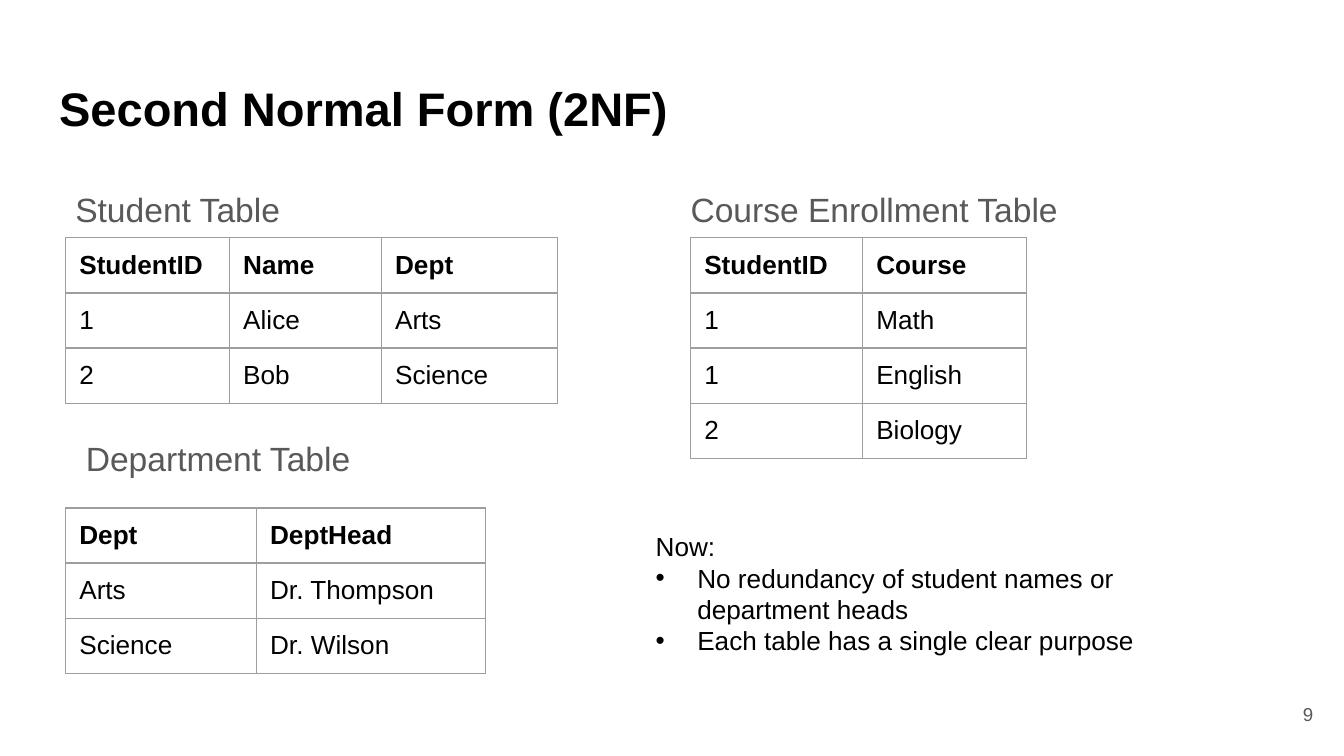
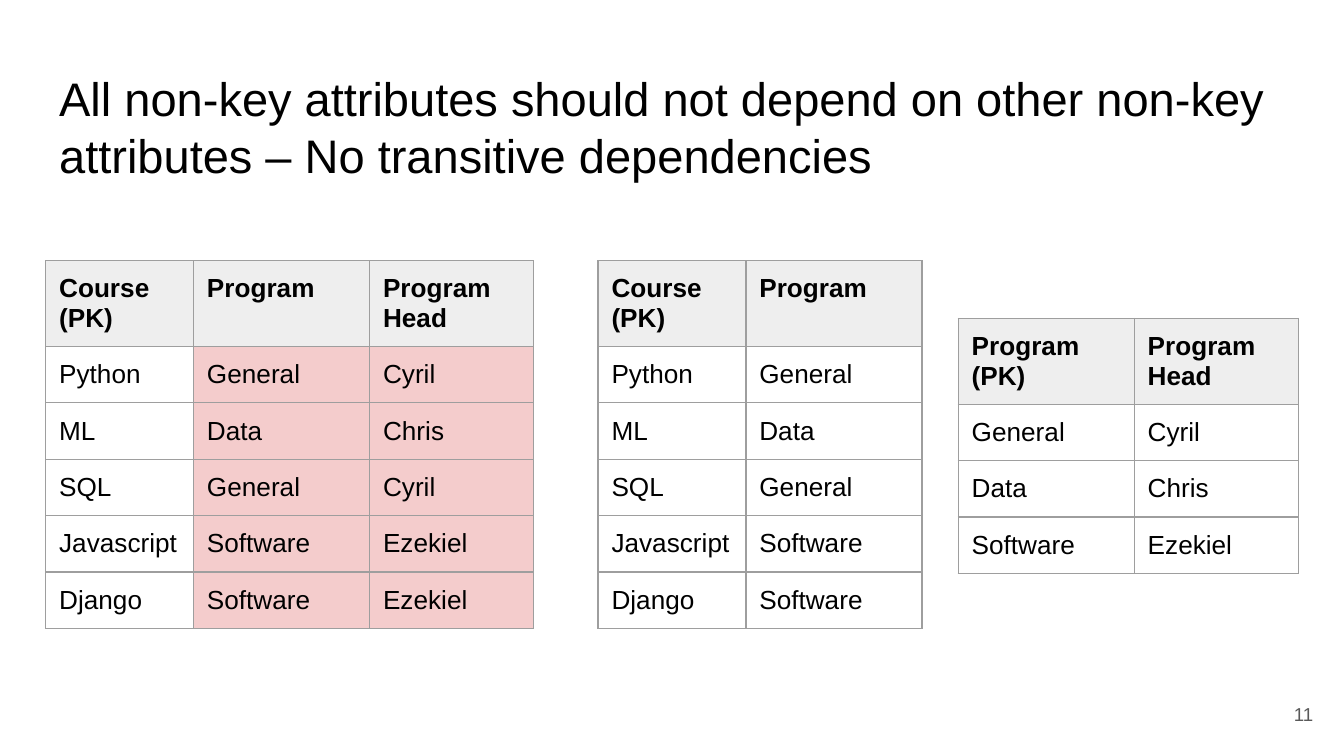
from dataclasses import dataclass

from lxml.etree import SubElement
from pptx import Presentation
from pptx.dml.color import RGBColor as Rgb
from pptx.enum.text import MSO_ANCHOR as Anchor, MSO_AUTO_SIZE as AutoSize, PP_ALIGN as Align
from pptx.oxml.ns import qn
from pptx.util import Inches, Pt


@dataclass(frozen=True)
class Theme:
    font: str = "Arial"
    ink: str = "000000"
    muted: str = "595959"
    paper: str = "FFFFFF"
    border: str = "9E9E9E"
    header: str = "EEEEEE"
    marked: str = "F4CCCC"
    title: float = 25.2
    heading: float = 18
    text: float = 14
    number: float = 10
    border_width: float = 0.75
    pad: float = 0.1


THEME = Theme()
TITLE_AND_BODY, TITLE_ONLY = 1, 5

# Contents
STUDENTS = [("StudentID", "Name", "Dept"), ("1", "Alice", "Arts"), ("2", "Bob", "Science")]
ENROLLMENTS = [("StudentID", "Course"), ("1", "Math"), ("1", "English"), ("2", "Biology")]
DEPARTMENTS = [("Dept", "DeptHead"), ("Arts", "Dr. Thompson"), ("Science", "Dr. Wilson")]
BENEFITS = ["No redundancy of student names or department heads",
            "Each table has a single clear purpose"]
COURSE_PROGRAMS = [("Python", "General"), ("ML", "Data"), ("SQL", "General"),
                   ("Javascript", "Software"), ("Django", "Software")]
PROGRAM_HEADS = {"General": "Cyril", "Data": "Chris", "Software": "Ezekiel"}


def add_run(paragraph, text, size, color=THEME.ink, bold=False):
    run = paragraph.add_run()
    run.text = text
    run.font.name = THEME.font
    run.font.size = Pt(size)
    run.font.bold = bold
    run.font.color.rgb = Rgb.from_string(color)


def place(shape, box):
    shape.left, shape.top, shape.width, shape.height = (Inches(v) for v in box)


def set_frame(frame, top=THEME.pad, anchor=Anchor.TOP, fit=AutoSize.NONE):
    frame.word_wrap = True
    frame.auto_size = fit
    frame.vertical_anchor = anchor
    frame.margin_left = frame.margin_right = Inches(THEME.pad)
    frame.margin_top = frame.margin_bottom = Inches(top)
    return frame


def add_text_box(slide, box, **settings):
    return set_frame(slide.shapes.add_textbox(*(Inches(v) for v in box)).text_frame, **settings)


def set_indent(paragraph, left, first):
    props = paragraph._p.get_or_add_pPr()
    props.set("marL", str(Inches(left)))
    props.set("indent", str(Inches(first)))
    return props


def set_bullet(paragraph, indent):
    props = set_indent(paragraph, indent, -indent)
    SubElement(SubElement(props, qn("a:buClr")), qn("a:srgbClr"), val=THEME.ink)
    SubElement(props, qn("a:buFont"), typeface=THEME.font)
    SubElement(props, qn("a:buChar"), char="•")


def set_borders(cell):
    props = cell._tc.get_or_add_tcPr()
    for side in ("lnL", "lnR", "lnT", "lnB"):
        line = SubElement(props, qn(f"a:{side}"), w=str(Pt(THEME.border_width)))
        fill = SubElement(line, qn("a:solidFill"))
        SubElement(fill, qn("a:srgbClr"), val=THEME.border)


def add_grid(slide, left, top, widths, heights, rows, pad_top=0.05,
             anchor=Anchor.MIDDLE, header_fill=None, marked_columns=()):
    """Table with a bold header row and optional marked body columns."""
    box = (left, top, sum(widths), sum(heights))
    grid = slide.shapes.add_table(len(rows), len(widths), *(Inches(v) for v in box)).table
    grid.first_row = grid.horz_banding = False
    for column, width in zip(grid.columns, widths):
        column.width = Inches(width)
    for row, height in zip(grid.rows, heights):
        row.height = Inches(height)
    for r, values in enumerate(rows):
        for c, value in enumerate(values):
            cell = grid.cell(r, c)
            cell.vertical_anchor = anchor
            cell.margin_left = cell.margin_right = Inches(THEME.pad)
            cell.margin_top = cell.margin_bottom = Inches(pad_top)
            set_borders(cell)
            body_fill = THEME.marked if c in marked_columns else None
            color = header_fill if r == 0 else body_fill
            if color:
                cell.fill.solid()
                cell.fill.fore_color.rgb = Rgb.from_string(color)
            else:
                cell.fill.background()
            add_run(cell.text_frame.paragraphs[0], value, THEME.text, bold=r == 0)


def start_slide(prs, layout, title, title_top, number, bold=False):
    """Slide with the shared background, title and page number."""
    slide = prs.slides.add_slide(prs.slide_layouts[layout])
    slide.background.fill.solid()
    slide.background.fill.fore_color.rgb = Rgb.from_string(THEME.paper)
    place(slide.shapes.title, (0.34, title_top, 9.32, 0.63))
    heading = set_frame(slide.shapes.title.text_frame).paragraphs[0]
    heading.alignment = Align.LEFT
    add_run(heading, title, THEME.title, bold=bold)
    page = add_text_box(slide, (9.27, 5.1, 0.6, 0.43), anchor=Anchor.MIDDLE).paragraphs[0]
    page.alignment = Align.RIGHT
    add_run(page, number, THEME.number, THEME.muted)
    return slide


def fill_body_heading(slide, box, heading):
    body = slide.placeholders[1]
    place(body, box)
    line = set_frame(body.text_frame).paragraphs[0]
    line.line_spacing = 1.15
    line.space_before = Pt(0)
    SubElement(set_indent(line, 0.12, 0), qn("a:buNone"))
    add_run(line, heading, THEME.heading, THEME.muted)


def add_heading(slide, box, heading):
    frame = add_text_box(slide, box, top=0.05, fit=AutoSize.SHAPE_TO_FIT_TEXT)
    add_run(frame.paragraphs[0], heading, THEME.heading, THEME.muted)


def add_benefits(slide, box):
    frame = add_text_box(slide, box, top=0.05, fit=AutoSize.SHAPE_TO_FIT_TEXT)
    add_run(frame.paragraphs[0], "Now:", THEME.text)
    for benefit in BENEFITS:
        item = frame.add_paragraph()
        set_bullet(item, 0.31)
        add_run(item, benefit, THEME.text)


def build_second_form(prs):
    slide = start_slide(prs, TITLE_AND_BODY, "Second Normal Form (2NF)", 0.49, "9", bold=True)
    fill_body_heading(slide, (0.34, 1.26, 9.32, 3.74), "Student Table")
    add_heading(slide, (5.04, 1.36, 3.2, 0.4), "Course Enrollment Table")
    # Decomposed tables
    for left, top, widths, rows in (
        (0.49, 1.77, (1.22, 1.13, 1.31), STUDENTS),
        (5.14, 1.77, (1.28, 1.22), ENROLLMENTS),
        (0.49, 3.78, (1.42, 1.7), DEPARTMENTS),
    ):
        add_grid(slide, left, top, widths, [0.41] * len(rows), rows)
    add_heading(slide, (0.54, 3.21, 2.59, 0.4), "Department Table")
    add_benefits(slide, (4.78, 3.9, 4.19, 1.04))


def build_transitive_dependencies(prs):
    slide = start_slide(prs, TITLE_ONLY,
                        "All non-key attributes should not depend on other non-key "
                        "attributes – No transitive dependencies", 0.42, "11")
    course, program, head = 1.1, 1.31, 1.22
    combined = [("Course (PK)", "Program", "Program Head")]
    combined += [(name, group, PROGRAM_HEADS[group]) for name, group in COURSE_PROGRAMS]
    courses = [("Course (PK)", "Program"), *COURSE_PROGRAMS]
    programs = [("Program (PK)", "Program Head"), *PROGRAM_HEADS.items()]
    # Combined table with its dependent columns marked, then the split tables
    for left, top, widths, rows, marked in (
        (0.34, 1.94, (course, program, head), combined, (1, 2)),
        (4.45, 1.94, (course, program), courses, ()),
        (7.13, 2.37, (program, head), programs, ()),
    ):
        heights = [0.63] + [0.42] * (len(rows) - 1)
        add_grid(slide, left, top, widths, heights, rows, pad_top=THEME.pad,
                 anchor=Anchor.TOP, header_fill=THEME.header, marked_columns=marked)


def main():
    prs = Presentation()
    prs.slide_width, prs.slide_height = Inches(10), Inches(10 * 9 / 16)
    build_second_form(prs)
    build_transitive_dependencies(prs)
    prs.save("out.pptx")


if __name__ == "__main__":
    main()
